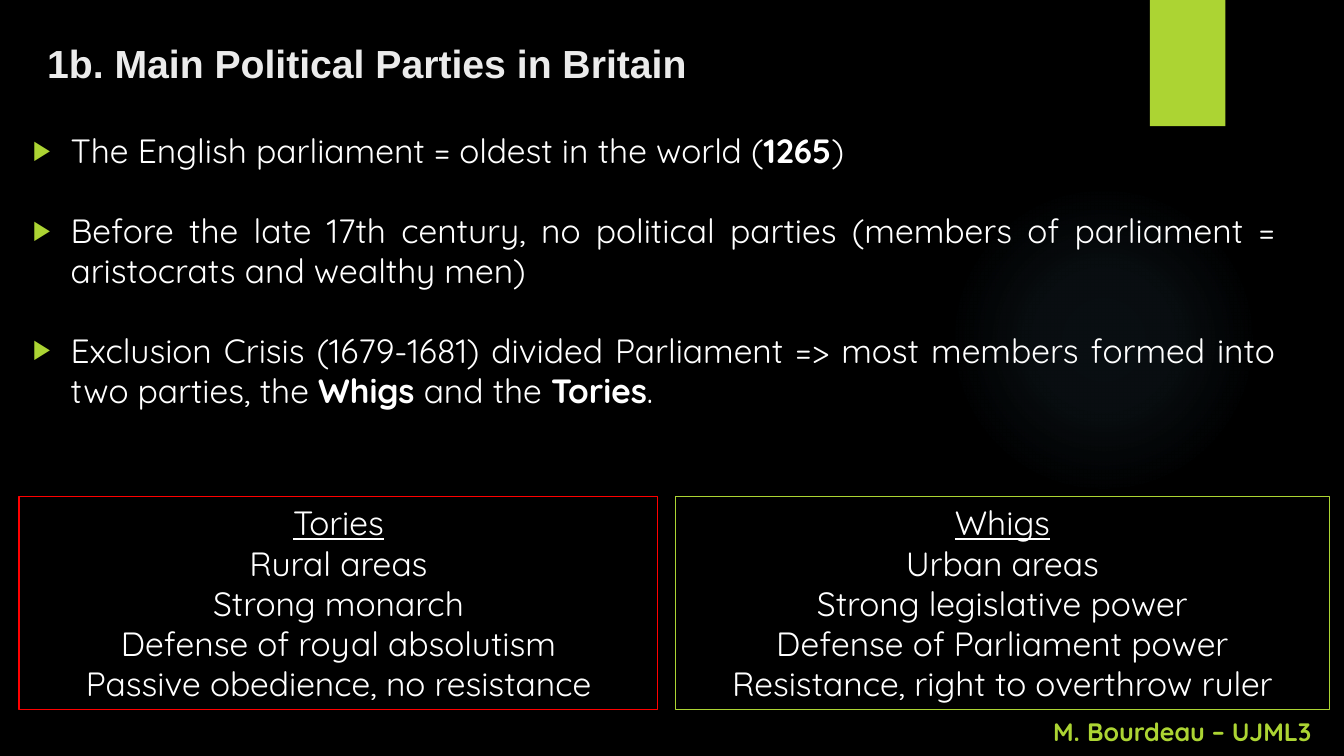
from dataclasses import dataclass
from typing import Any, NamedTuple, Optional

from pptx import Presentation
from pptx import oxml
from pptx import util as u
from pptx.dml.color import RGBColor
from pptx.enum import shapes, text
from pptx.oxml import ns

BLACK = RGBColor(0x00, 0x00, 0x00)
WHITE = RGBColor(0xFF, 0xFF, 0xFF)
PALE_GREY = RGBColor(0xEB, 0xEB, 0xEB)
LIME = RGBColor(0xAC, 0xD4, 0x33)
RED = RGBColor(0xFF, 0x00, 0x00)
SKY = RGBColor(0x7A, 0xC4, 0xF0)

BODY = {"name": "Quicksand", "size": u.Pt(24), "bold": False}
BOLD = {**BODY, "bold": True}
UNDERLINED = {**BODY, "underline": True}
TITLE = {"name": "Arial", "size": u.Pt(28), "bold": True}
CREDIT = {"name": "Quicksand", "size": u.Pt(18), "bold": True}
GLOW_STOPS = ((0, 7), (36, 6), (69, 0))


class Area(NamedTuple):
    left: float
    top: float
    width: float
    height: float

    def lengths(self) -> list[u.Cm]:
        return [u.Cm(value) for value in self]


class Span(NamedTuple):
    words: str
    style: dict[str, Any] = BODY
    color: RGBColor = WHITE


@dataclass
class Party:
    name: str
    color: RGBColor
    area: Area
    traits: list[str]


PARTIES = [
    Party("Whigs", LIME, Area(17.02, 12.5, 16.48, 5.38), [
        "Urban areas", "Strong legislative power", "Defense of Parliament power",
        "Resistance, right to overthrow ruler"]),
    Party("Tories", RED, Area(0.48, 12.5, 16.1, 5.38), [
        "Rural areas", "Strong monarch", "Defense of royal absolutism",
        "Passive obedience, no resistance"]),
]
POINTS = [
    [Span("The English parliament = oldest in the world ("), Span("1265", BOLD), Span(")")],
    [Span("Before the late 17th century, no political parties "
          "(members of parliament = aristocrats and wealthy men)")],
    [Span("Exclusion Crisis (1679-1681) divided Parliament => "
          "most members formed into two parties, the "),
     Span("Whigs", BOLD), Span(" and the "), Span("Tories", BOLD), Span(".")],
]


def write(box: Any, paragraphs: list[list[Span]], align: Any,
          anchor: Any = text.MSO_ANCHOR.TOP, inset: float = 0.13) -> None:
    """Fill a shape with paragraphs; inset is the top margin in centimetres."""
    frame = box.text_frame
    frame.word_wrap = True
    frame.vertical_anchor = anchor
    frame.margin_top = u.Cm(inset)
    for index, spans in enumerate(paragraphs):
        para = frame.add_paragraph() if index else frame.paragraphs[0]
        para.alignment = align
        for span in spans:
            run = para.add_run()
            run.text = span.words
            for key, value in span.style.items():
                setattr(run.font, key, value)
            run.font.color.rgb = span.color


def add_bullet(para: Any) -> None:
    props = para._p.get_or_add_pPr()
    props.set("marL", str(u.Cm(0.95)))
    props.set("indent", str(u.Cm(-0.95)))
    for tag in (f'<a:buClr {{}}><a:srgbClr val="{LIME}"/></a:buClr>',
                '<a:buSzPct {} val="80000"/>',
                '<a:buFont {} typeface="Arial"/>',
                '<a:buChar {} char="▶"/>'):
        props.append(oxml.parse_xml(tag.format(ns.nsdecls("a"))))


def add_plain_shape(page: Any, kind: Any, area: Area) -> Any:
    """Add a shape without shadow, fill or line."""
    shape = page.shapes.add_shape(kind, *area.lengths())
    shape.shadow.inherit = False
    shape.fill.background()
    shape.line.fill.background()
    return shape


def add_glow(page: Any, area: Area) -> None:
    glow = add_plain_shape(page, shapes.MSO_SHAPE.OVAL, area)
    stops = "".join(
        f'<a:gs pos="{place * 1000}"><a:srgbClr val="{SKY}">'
        f'<a:alpha val="{alpha * 1000}"/></a:srgbClr></a:gs>'
        for place, alpha in GLOW_STOPS)
    gradient = oxml.parse_xml(
        f'<a:gradFill {ns.nsdecls("a")}><a:gsLst>{stops}</a:gsLst><a:path path="circle">'
        '<a:fillToRect l="50000" t="50000" r="50000" b="50000"/></a:path></a:gradFill>')
    props = glow._element.spPr
    props.replace(props.find(ns.qn("a:noFill")), gradient)


def add_party(page: Any, party: Party) -> None:
    box = add_plain_shape(page, shapes.MSO_SHAPE.RECTANGLE, party.area)
    box.line.color.rgb = party.color
    box.line.width = u.Pt(0.75)
    lines = [[Span(party.name, UNDERLINED)], *([Span(trait)] for trait in party.traits)]
    write(box, lines, text.PP_ALIGN.CENTER, text.MSO_ANCHOR.MIDDLE)


def main() -> None:
    deck = Presentation()
    deck.slide_width, deck.slide_height = u.Cm(33.87), u.Cm(19.05)
    page = deck.slides.add_slide(deck.slide_layouts[6])
    page.background.fill.solid()
    page.background.fill.fore_color.rgb = BLACK

    add_glow(page, Area(23.9, 4.65, 7.82, 7.82))
    tab = add_plain_shape(page, shapes.MSO_SHAPE.RECTANGLE, Area(28.98, 0, 1.9, 3.18))
    tab.fill.solid()
    tab.fill.fore_color.rgb = LIME

    title = page.shapes.add_textbox(*Area(0.94, 0.76, 27.43, 2.57).lengths())
    write(title, [[Span("1b. Main Political Parties in Britain", TITLE, PALE_GREY)]],
          text.PP_ALIGN.LEFT, inset=0.22)

    body = page.shapes.add_textbox(*Area(0.58, 2.13, 31.8, 9.98).lengths())
    write(body, POINTS, text.PP_ALIGN.JUSTIFY, inset=1.15)
    for index, para in enumerate(body.text_frame.paragraphs):
        add_bullet(para)
        if index:
            para.space_before = u.Pt(28)

    for party in PARTIES:
        add_party(page, party)

    credit = page.shapes.add_textbox(*Area(26.29, 17.93, 8, 1.02).lengths())
    write(credit, [[Span("M. Bourdeau – UJML3", CREDIT, LIME)]], text.PP_ALIGN.LEFT)
    deck.save("out.pptx")


if __name__ == "__main__":
    main()
